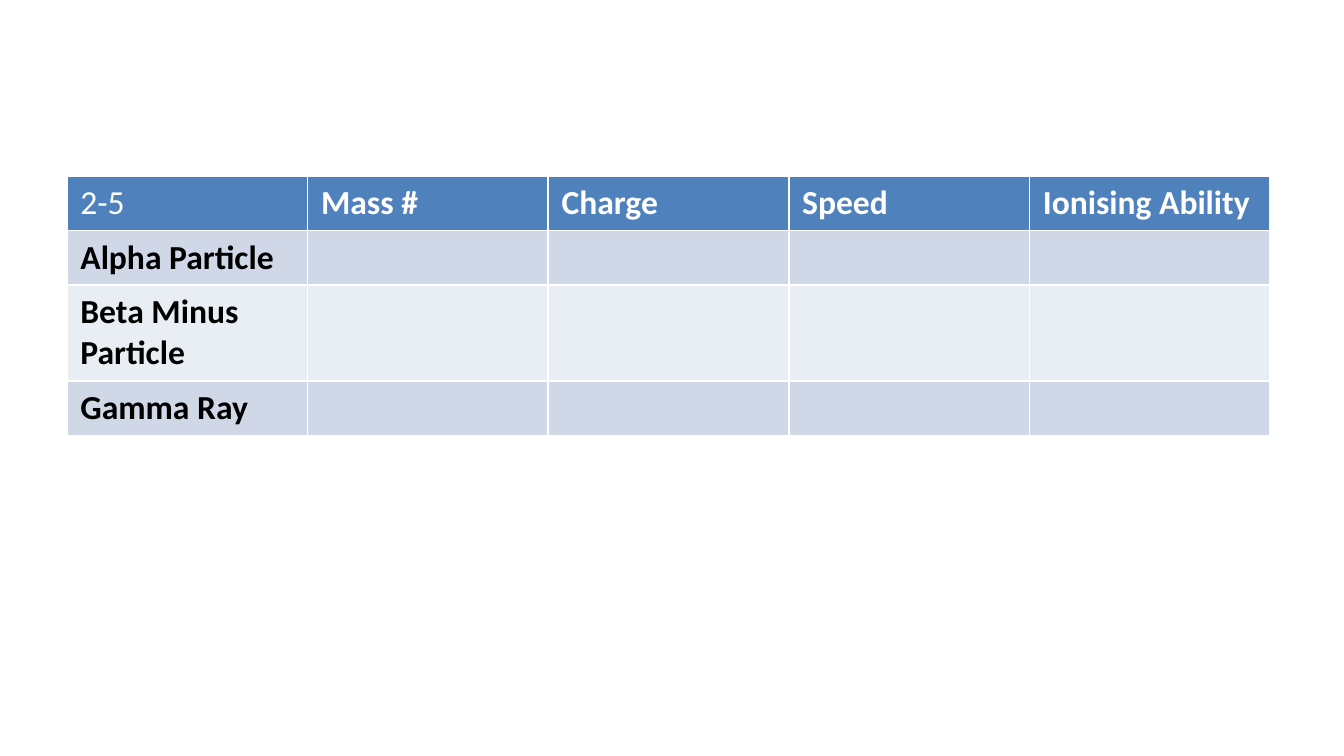
from dataclasses import dataclass

from lxml import etree
from pptx import Presentation
from pptx.dml.color import RGBColor
from pptx.oxml.ns import qn
from pptx.util import Pt

HEADS = ["2-5", "Mass #", "Charge", "Speed", "Ionising Ability"]
RAYS = ["Alpha Particle", "Beta Minus Particle", "Gamma Ray"]
ROWS = [HEADS] + [[ray] + [""] * (len(HEADS) - 1) for ray in RAYS]

PX = 914400 / 134.4
SLIDE = (1344, 756)
LEFT, TOP, WIDTH = 67, 176, 1203
HEIGHTS = [54, 54, 96, 54]


@dataclass(frozen=True)
class Theme:
    font: str = "Calibri"
    size: int = 18
    head: str = "4F81BD"
    bands: tuple = ("D0D8E8", "E9EDF4")
    light: str = "FFFFFF"
    dark: str = "000000"
    rule: int = 1


THEME = Theme()


def emu(px):
    return round(px * PX)


def add_rules(cell):
    props = cell._tc.get_or_add_tcPr()
    for spot, side in enumerate(("lnL", "lnR", "lnT", "lnB")):
        line = etree.Element(qn(f"a:{side}"), w=str(Pt(THEME.rule)))
        fill = etree.SubElement(line, qn("a:solidFill"))
        etree.SubElement(fill, qn("a:srgbClr"), val=THEME.light)
        props.insert(spot, line)


def fill_cell(cell, text, row, col):
    shade = THEME.bands[(row - 1) % 2] if row else THEME.head
    cell.fill.solid()
    cell.fill.fore_color.rgb = RGBColor.from_string(shade)
    add_rules(cell)
    cell.text_frame.text = text
    for run in cell.text_frame.paragraphs[0].runs:
        font = run.font
        font.name = THEME.font
        font.size = Pt(THEME.size)
        font.bold = (row, col) != (0, 0)
        font.color.rgb = RGBColor.from_string(THEME.dark if row else THEME.light)


def main():
    deck = Presentation()
    deck.slide_width, deck.slide_height = map(emu, SLIDE)
    slide = deck.slides.add_slide(deck.slide_layouts[6])
    box = map(emu, (LEFT, TOP, WIDTH, sum(HEIGHTS)))
    table = slide.shapes.add_table(len(ROWS), len(HEADS), *box).table
    for col in table.columns:
        col.width = emu(WIDTH / len(HEADS))
    for row, height in enumerate(HEIGHTS):
        table.rows[row].height = emu(height)
        for col, text in enumerate(ROWS[row]):
            fill_cell(table.cell(row, col), text, row, col)
    deck.save("out.pptx")


if __name__ == "__main__":
    main()
